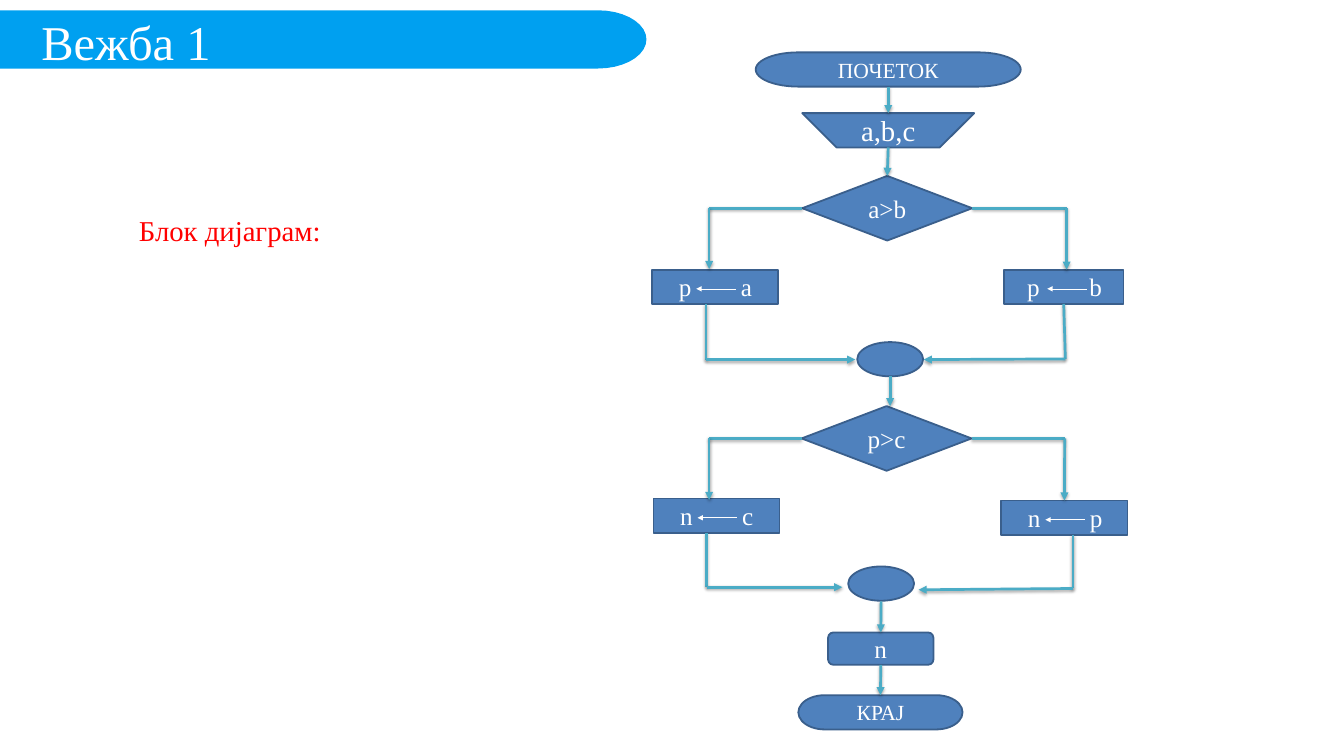
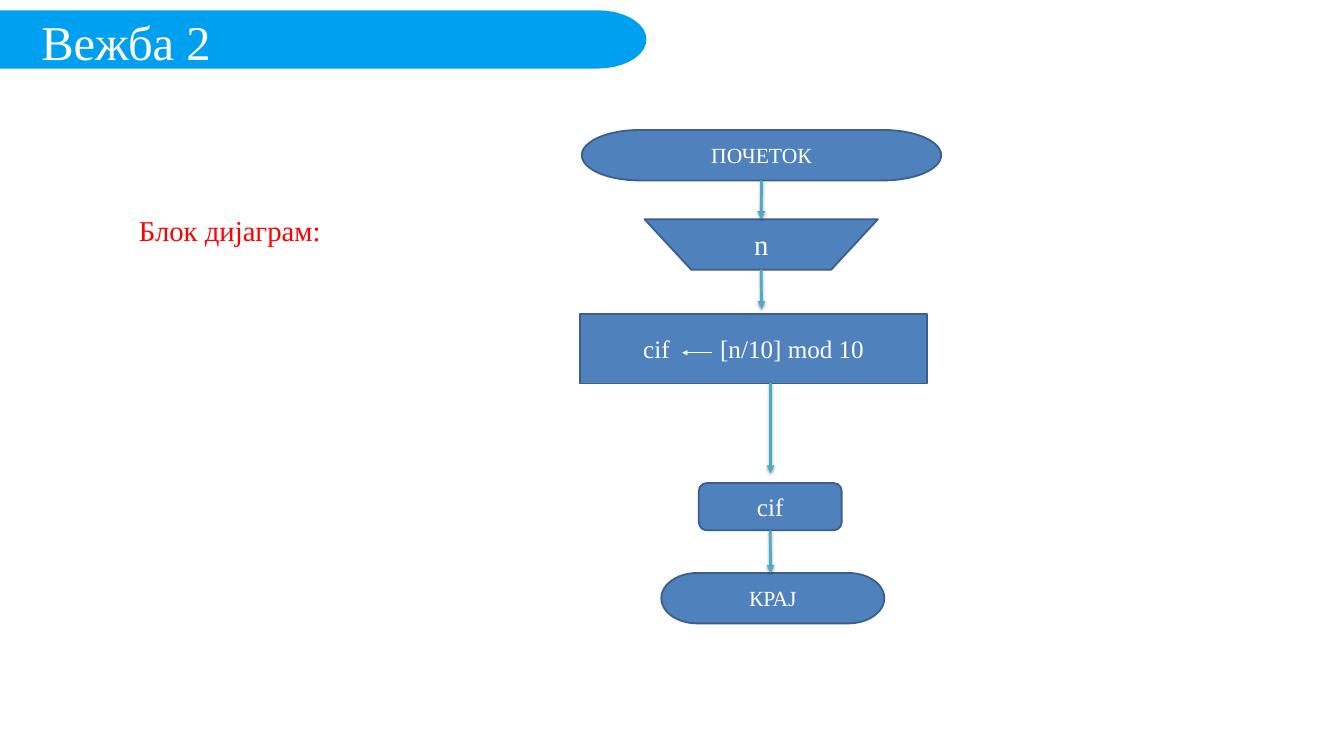
import math
from itertools import pairwise
from lxml import etree
from pptx import Presentation
from pptx import util as u
from pptx.dml.color import RGBColor
from pptx.enum import shapes, text
from pptx.oxml.ns import qn

FONT = "Times New Roman"
BAND, BOX, EDGE, FLOW = "00A0F0", "4F81BD", "3A5F8C", "4BACC6"
WHITE, RED = "FFFFFF", "FF0000"
KIND = shapes.MSO_SHAPE
ALIGN = text.PP_ALIGN

# Node kinds: preset shape and text size
KINDS = {
    "terminal": (KIND.FLOWCHART_TERMINATOR, 24),
    "input": (KIND.FLOWCHART_MANUAL_OPERATION, 32),
    "decision": (KIND.DIAMOND, 28),
    "assign": (KIND.RECTANGLE, 28),
    "join": (KIND.FLOWCHART_CONNECTOR, 28),
    "output": (KIND.ROUNDED_RECTANGLE, 28),
}

# Assignment layout by box: inset, tab stop, arrow offset, arrow length (inches)
SHORT, NARROW, LONG = (0.41, 0.96, 0.68, 0.61), (0.36, 0.96, 0.67, 0.61), (0.98, 1.19, 1.58, 0.47)

# Content: nodes are (kind, left, top, width, height, words, assignment layout);
# paths are corner points with an arrowhead at the last one. Inches throughout.
SLIDES = [
    {
        "title": "Вежба 1",
        "nodes": [
            ("terminal", 11.69, 0.81, 4.1, 0.53, "ПОЧЕТОК"),
            ("input", 12.41, 1.75, 2.66, 0.53, "a,b,c"),
            ("decision", 12.41, 2.72, 2.63, 1, "a>b"),
            ("assign", 10.09, 4.17, 1.95, 0.53, "p\ta", SHORT),
            ("assign", 15.53, 4.17, 1.85, 0.53, "p\tb", NARROW),
            ("join", 13.26, 5.29, 1.02, 0.53, ""),
            ("decision", 12.4, 6.28, 2.63, 1, "p>c"),
            ("assign", 10.11, 7.71, 1.95, 0.53, "n\tc", SHORT),
            ("assign", 15.49, 7.74, 1.95, 0.53, "n\tp", SHORT),
            ("join", 13.12, 8.76, 1.02, 0.53, ""),
            ("output", 12.81, 9.78, 1.63, 0.5, "n"),
            ("terminal", 12.35, 10.75, 2.54, 0.53, "КРАЈ"),
        ],
        "paths": [
            [(13.74, 1.34), (13.74, 1.75)],
            [(13.74, 2.28), (13.74, 2.7)],
            [(12.41, 3.22), (10.97, 3.22), (10.97, 4.16)],
            [(15.04, 3.22), (16.5, 3.22), (16.5, 4.17)],
            [(10.92, 4.7), (10.92, 5.56), (13.23, 5.56)],
            [(16.47, 4.7), (16.48, 5.55), (14.29, 5.56)],
            [(13.77, 5.82), (13.77, 6.28)],
            [(12.4, 6.78), (10.97, 6.78), (10.97, 7.73)],
            [(15.03, 6.78), (16.47, 6.78), (16.47, 7.73)],
            [(10.93, 8.24), (10.93, 9.08), (13.03, 9.08)],
            [(16.6, 8.28), (16.6, 9.1), (14.21, 9.12)],
            [(13.63, 9.3), (13.63, 9.78)],
            [(13.63, 10.28), (13.63, 10.75)],
        ],
    },
    {
        "title": "Вежба 2",
        "nodes": [
            ("terminal", 9, 2.01, 5.56, 0.78, "ПОЧЕТОК"),
            ("input", 9.97, 3.39, 3.61, 0.78, "n"),
            ("assign", 8.97, 4.85, 5.37, 1.08, "cif\t[n/10] mod 10", LONG),
            ("output", 10.81, 7.47, 2.21, 0.73, "cif"),
            ("terminal", 10.23, 8.86, 3.45, 0.78, "КРАЈ"),
        ],
        "paths": [
            [(11.78, 2.79), (11.78, 3.39)],
            [(11.78, 4.17), (11.78, 4.78)],
            [(11.92, 5.93), (11.92, 7.32)],
            [(11.92, 8.2), (11.92, 8.86)],
        ],
    },
]
LABEL = "Блок дијаграм:"


def inch(value):
    return u.Cm(value * 2.54)


def color(code):
    return RGBColor.from_string(code)


def write(box, words, size, ink=WHITE, align=ALIGN.CENTER, anchor=text.MSO_ANCHOR.MIDDLE,
          before=0, spacing=None, inset=None):
    frame = box.text_frame
    frame.word_wrap = True
    frame.auto_size = text.MSO_AUTO_SIZE.NONE
    frame.vertical_anchor = anchor
    if inset:
        frame.margin_left, frame.margin_top, frame.margin_right, frame.margin_bottom = map(inch, inset)
    para = frame.paragraphs[0]
    para.alignment = align
    para.space_before = u.Pt(before)
    if spacing:
        para.line_spacing = spacing
    span = para.add_run()
    span.text = words
    span.font.name, span.font.size = FONT, u.Pt(size)
    span.font.color.rgb = color(ink)
    return para


def paint(box, fill, edge=None):
    box.shadow.inherit = False
    box.fill.solid()
    box.fill.fore_color.rgb = color(fill)
    if edge:
        box.line.color.rgb = color(edge)
        box.line.width = u.Pt(2)
    else:
        box.line.fill.background()


def add_line(page, start, end, ink, width, head=True, shadow=True):
    line = page.shapes.add_connector(shapes.MSO_CONNECTOR.STRAIGHT, *map(inch, (*start, *end)))
    line.line.color.rgb = color(ink)
    line.line.width = u.Pt(width)
    if head:
        etree.SubElement(line.line._get_or_add_ln(), qn("a:tailEnd"), type="triangle")
    effects = etree.SubElement(line.element.spPr, qn("a:effectLst"))
    if shadow:
        cast = etree.SubElement(effects, qn("a:outerShdw"), blurRad="40000", dist="23000",
                                dir="5400000", rotWithShape="0")
        shade = etree.SubElement(cast, qn("a:srgbClr"), val="000000")
        etree.SubElement(shade, qn("a:alpha"), val="35000")
    return line


def add_header(page, words):
    # Band with a rounded right end, placed behind the title
    center, middle, reach, half = 9.25, 0.61, 0.75, 0.45
    turns = [math.radians(90 - 10 * step) for step in range(19)]
    arc = [(inch(center + reach * math.cos(turn)), inch(middle + half * math.sin(turn))) for turn in turns]
    outline = page.shapes.build_freeform(0, inch(middle - half))
    outline.add_line_segments([(0, inch(middle + half)), *arc])
    band = outline.convert_to_shape()
    paint(band, BAND)
    page.shapes.element.insert(2, band.element)
    title = page.shapes.title
    title.left, title.top, title.width, title.height = map(inch, (0.64, 0.18, 8.72, 0.92))
    write(title, words, 54, align=ALIGN.LEFT, anchor=text.MSO_ANCHOR.TOP, before=1, inset=(0, 0.01, 0, 0))


def add_node(page, kind, left, top, width, height, words, layout=None):
    preset, size = KINDS[kind]
    box = page.shapes.add_shape(preset, *map(inch, (left, top, width, height)))
    paint(box, BOX, EDGE)
    if layout:
        inset, stop, offset, length = layout
        para = write(box, words, size, align=ALIGN.LEFT, inset=(inset, 0.05, 0, 0.05))
        stops = etree.SubElement(para._p.get_or_add_pPr(), qn("a:tabLst"))
        etree.SubElement(stops, qn("a:tab"), pos=str(inch(stop)), algn="l")
        tip, level = left + offset, top + height * 0.56
        add_line(page, (tip + length, level), (tip, level), WHITE, 0.75, shadow=False)
    elif words:
        write(box, words, size)
    # Middles of the sides in connection order; a round join shares only the top
    sides = [(left + width / 2, top), (left, top + height / 2),
             (left + width / 2, top + height), (left + width, top + height / 2)]
    return box, sides[:1] if kind == "join" else sides


def add_path(page, points, nodes):
    for start, end in pairwise(points):
        line = add_line(page, start, end, FLOW, 3, head=end == points[-1])
        for box, sides in nodes:
            for site, middle in enumerate(sides):
                if math.dist(start, middle) < 0.03:
                    line.begin_connect(box, site)
                if math.dist(end, middle) < 0.03:
                    line.end_connect(box, site)


def main():
    deck = Presentation()
    deck.slide_width, deck.slide_height = inch(20.79), inch(11.69)
    for content in SLIDES:
        page = deck.slides.add_slide(deck.slide_layouts[5])
        add_header(page, content["title"])
        label = page.shapes.add_textbox(*map(inch, (2.05, 2.98, 3.86, 0.81)))
        write(label, LABEL, 32, ink=RED, align=ALIGN.JUSTIFY, anchor=text.MSO_ANCHOR.TOP, spacing=1.5)
        nodes = [add_node(page, *node) for node in content["nodes"]]
        for points in content["paths"]:
            add_path(page, points, nodes)
    deck.save("out.pptx")


if __name__ == "__main__":
    main()
